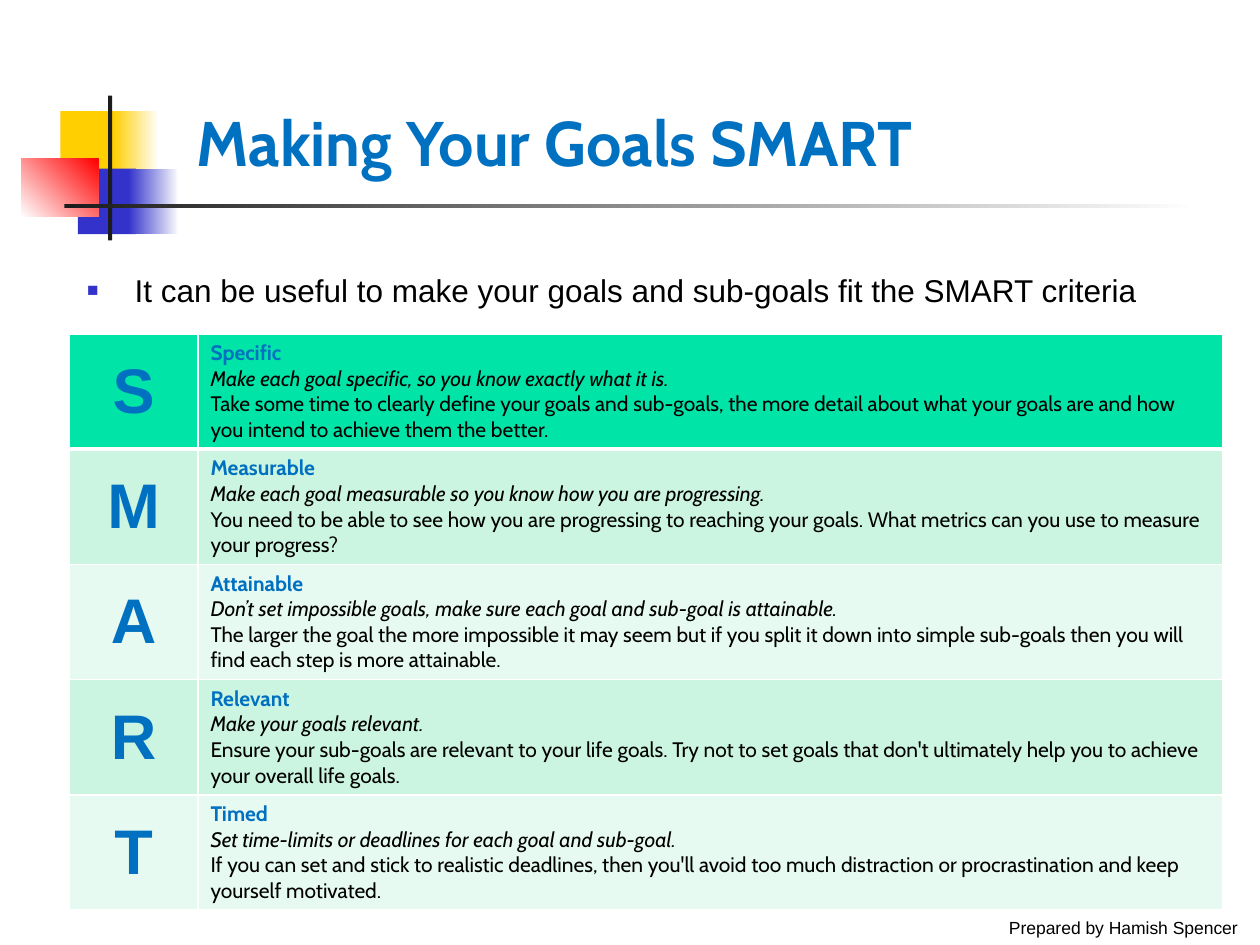
from lxml import etree
from pptx import Presentation, util as u
from pptx.dml.color import RGBColor
from pptx.enum import shapes, text
from pptx.oxml import ns

BLUE, BLACK, WHITE = "0070C0", "000000", "FFFFFF"
GOLD, NAVY, RED, INK = "FFCF01", "3333CC", "FF0000", "1C1C1C"

TITLE = "Making Your Goals SMART"
INTRO = "It can be useful to make your goals and sub-goals fit the SMART criteria"
CREDIT = "Prepared by Hamish Spencer"

GOALS = [
    ("Specific",
     "Make each goal specific, so you know exactly what it is.",
     "Take some time to clearly define your goals and sub-goals, the more detail about what "
     "your goals are and how you intend to achieve them the better."),
    ("Measurable",
     "Make each goal measurable so you know how you are progressing.",
     "You need to be able to see how you are progressing to reaching your goals. What metrics "
     "can you use to measure your progress?"),
    ("Attainable",
     "Don’t set impossible goals, make sure each goal and sub-goal is attainable.",
     "The larger the goal the more impossible it may seem but if you split it down into simple "
     "sub-goals then you will find each step is more attainable."),
    ("Relevant",
     "Make your goals relevant.",
     "Ensure your sub-goals are relevant to your life goals. Try not to set goals that don't "
     "ultimately help you to achieve your overall life goals."),
    ("Timed",
     "Set time-limits or deadlines for each goal and sub-goal.",
     "If you can set and stick to realistic deadlines, then you'll avoid too much distraction "
     "or procrastination and keep yourself motivated."),
]
FILLS = ["00E4A8", "CCF5E1", "E7FAF1", "CCF5E1", "E7FAF1"]

DECOR = [
    ((1.22, 2.24, 1.22, 1.32), [GOLD], 0),
    ((2.29, 2.24, 0.91, 1.32), [GOLD, WHITE], 0),
    ((1.57, 3.4, 1.17, 1.32), [NAVY], 0),
    ((2.59, 3.4, 1.02, 1.32), [NAVY, WHITE], 0),
    ((0.43, 3.2, 1.55, 1.17), [WHITE, RED], 45),
    ((2.18, 1.93, 0.08, 2.92), [INK], 0),
    ((1.3, 4.11, 22.86, 0.09), [INK, WHITE], 0),
]


def color(hue):
    return RGBColor.from_string(hue)


def place(shape, box):
    shape.left, shape.top, shape.width, shape.height = map(u.Cm, box)


def write(par, words, size=12, face="Cabin", hue=BLACK, bold=False, slant=False,
          align=text.PP_ALIGN.LEFT):
    par.alignment = align
    run = par.add_run()
    run.text = words
    font = run.font
    font.size, font.name, font.bold, font.italic = u.Pt(size), face, bold, slant
    font.color.rgb = color(hue)


def block(slide, box, hues, angle):
    shape = slide.shapes.add_shape(shapes.MSO_SHAPE.RECTANGLE, *map(u.Cm, box))
    shape.shadow.inherit = False
    shape.line.fill.background()
    if len(hues) == 1:
        shape.fill.solid()
        shape.fill.fore_color.rgb = color(hues[0])
    else:
        shape.fill.gradient()
        shape.fill.gradient_angle = angle
        for stop, hue in zip(shape.fill.gradient_stops, hues):
            stop.color.rgb = color(hue)


def node(parent, tag, **attrs):
    return etree.SubElement(parent, ns.qn(tag), **attrs)


def bullet(par):
    props = par._p.get_or_add_pPr()
    props.set("marL", str(u.Cm(0.96)))
    props.set("indent", str(u.Cm(-0.96)))
    par.space_before = u.Pt(0)
    node(node(props, "a:buClr"), "a:srgbClr", val=NAVY)
    node(props, "a:buSzPct", val="60000")
    node(props, "a:buFont", typeface="Arial")
    node(props, "a:buChar", char="■")


def border(cell, low):
    props = cell._tc.get_or_add_tcPr()
    for side, width in zip("LRTB", (1, 1, 1, low)):
        line = node(props, "a:ln" + side, w=str(u.Pt(width)))
        node(node(line, "a:solidFill"), "a:srgbClr", val=WHITE)


def grid(slide):
    wide, high = (2.59, 20.65), 2.32
    count = len(GOALS)
    table = slide.shapes.add_table(
        count, 2, *map(u.Cm, (1.4, 6.73, sum(wide), high * count))).table
    for col, width in zip(table.columns, wide):
        col.width = u.Cm(width)
    for num, (row, goal, fill) in enumerate(zip(table.rows, GOALS, FILLS)):
        row.height = u.Cm(high)
        mark, note = row.cells
        for cell in (mark, note):
            border(cell, 1 if num else 3)
            cell.fill.solid()
            cell.fill.fore_color.rgb = color(fill)
        mark.vertical_anchor = text.MSO_ANCHOR.MIDDLE
        write(mark.text_frame.paragraphs[0], goal[0][0], size=36, face="Arial", hue=BLUE,
              bold=True, align=text.PP_ALIGN.CENTER)
        frame = note.text_frame
        name, aim, more = goal
        write(frame.paragraphs[0], name, hue=BLUE, bold=True)
        write(frame.add_paragraph(), aim, slant=True)
        write(frame.add_paragraph(), more)


def main():
    deck = Presentation()
    deck.slide_width, deck.slide_height = u.Cm(25.4), u.Cm(19.05)
    slide = deck.slides.add_slide(deck.slide_layouts[1])
    for part in DECOR:
        block(slide, *part)

    title, body = slide.placeholders
    place(title, (3.71, 1.12, 21.06, 2.62))
    place(body, (1.5, 5.33, 22.4, 0.99))
    for holder, anchor in ((title, text.MSO_ANCHOR.BOTTOM), (body, text.MSO_ANCHOR.TOP)):
        holder.text_frame.vertical_anchor = anchor
        holder.text_frame.auto_size = text.MSO_AUTO_SIZE.NONE
    write(title.text_frame.paragraphs[0], TITLE, size=36, hue=BLUE, bold=True)
    par = body.text_frame.paragraphs[0]
    bullet(par)
    write(par, INTRO, size=18, face="Arial")

    grid(slide)
    foot = slide.shapes.add_textbox(*map(u.Cm, (20.09, 18.36, 5.31, 0.69))).text_frame
    foot.word_wrap = True
    write(foot.paragraphs[0], CREDIT, size=10, face="Arial")
    deck.save("out.pptx")


if __name__ == "__main__":
    main()
